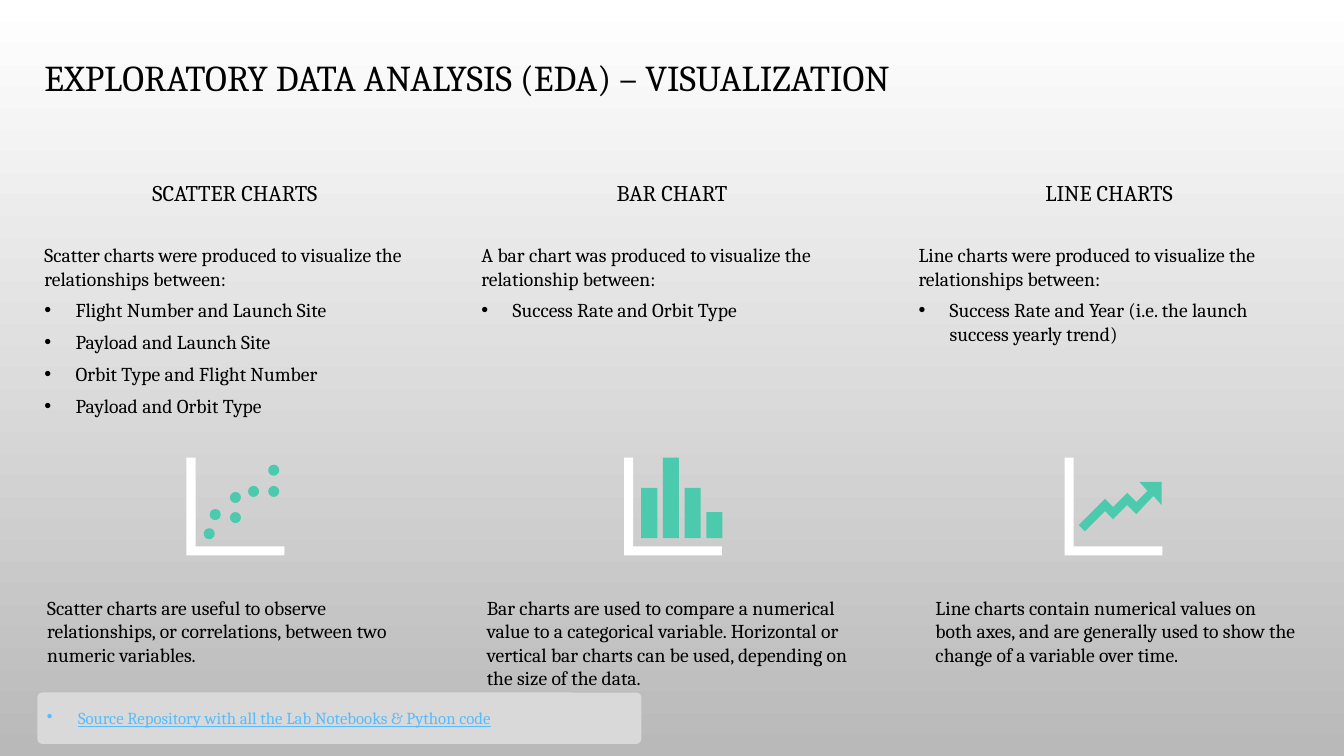
import pptx
import pptx.dml.color
import pptx.enum.shapes
import pptx.enum.text
import pptx.oxml.ns
import pptx.util
from lxml import etree
from pptx.util import Inches

SHAPE = pptx.enum.shapes.MSO_SHAPE
ALIGN = pptx.enum.text.PP_ALIGN
ANCHOR = pptx.enum.text.MSO_ANCHOR
FIT = pptx.enum.text.MSO_AUTO_SIZE

COLORS = {
    "text": "000000", "axis": "FFFFFF", "mark": "4BCAAD", "link": "56BCFE",
    "panel": "D9D9D9", "back_top": "FFFFFF", "back_bottom": "B9B9B9",
}
FONT = "Cambria"
LEFT, PITCH, WIDTH = 0.44, 4.335, 3.78
ICON_TOP, ICON_SIZE, AXIS_WIDTH, BASELINE = 4.54, 0.97, 0.09, 5.34
DOT_SIZE = 0.11

COLUMNS = [
    {
        "heading": "SCATTER CHARTS",
        "intro": "Scatter charts were produced to visualize the relationships between:",
        "items": ["Flight Number and Launch Site", "Payload and Launch Site",
                  "Orbit Type and Flight Number", "Payload and Orbit Type"],
        "caption": "Scatter charts are useful to observe relationships, or correlations, "
                   "between two numeric variables.",
        "caption_box": (0.37, 0.81),
    },
    {
        "heading": "BAR CHART",
        "intro": "A bar chart was produced to visualize the relationship between:",
        "items": ["Success Rate and Orbit Type"],
        "caption": "Bar charts are used to compare a numerical value to a categorical variable. "
                   "Horizontal or vertical bar charts can be used, depending on the size of the data.",
        "caption_box": (4.73, 1.04),
    },
    {
        "heading": "LINE CHARTS",
        "intro": "Line charts were produced to visualize the relationships between:",
        "items": ["Success Rate and Year (i.e. the launch success yearly trend)"],
        "caption": "Line charts contain numerical values on both axes, and are generally used "
                   "to show the change of a variable over time.",
        "caption_box": (9.18, 0.81),
    },
]
DOTS = [(2.02, 5.24), (2.08, 5.05), (2.28, 5.08), (2.28, 4.88),
        (2.46, 4.82), (2.66, 4.82), (2.66, 4.61)]
BAR_HEIGHTS = [0.5, 0.8, 0.5, 0.26]
TREND_ARROW = [
    (11.3, 4.78), (11.38, 4.87), (11.27, 4.98), (11.18, 4.89), (11.04, 5.03),
    (10.96, 4.95), (10.7, 5.21), (10.76, 5.27), (10.96, 5.07), (11.04, 5.15),
    (11.18, 5.01), (11.27, 5.1), (11.44, 4.92), (11.52, 5.01), (11.52, 4.78),
]


def rgb(name):
    return pptx.dml.color.RGBColor.from_string(COLORS[name])


def place(shape, left, top, width, height):
    shape.left, shape.top = Inches(left), Inches(top)
    shape.width, shape.height = Inches(width), Inches(height)


def set_frame(shape, anchor, margins=(0, 0, 0, 0)):
    frame = shape.text_frame
    frame.word_wrap = True
    frame.auto_size = FIT.NONE
    frame.vertical_anchor = anchor
    (frame.margin_left, frame.margin_top,
     frame.margin_right, frame.margin_bottom) = map(Inches, margins)
    return frame


def write(para, text, size, color="text", align=ALIGN.LEFT, after=0, bullet=False):
    para.text = text
    props = para._p.get_or_add_pPr()
    indent = Inches(0.31) if bullet else 0
    props.set("marL", str(indent))
    props.set("indent", str(-indent))
    mark = etree.SubElement(props, pptx.oxml.ns.qn("a:buChar" if bullet else "a:buNone"))
    if bullet:
        mark.set("char", "•")
    para.alignment = align
    para.space_before = pptx.util.Pt(0)
    para.space_after = pptx.util.Pt(after)
    para.font.name = FONT
    para.font.size = pptx.util.Pt(size)
    para.font.bold = False
    para.font.color.rgb = rgb(color)


def paint(shape, color):
    shape.shadow.inherit = False
    shape.fill.solid()
    shape.fill.fore_color.rgb = rgb(color)
    shape.line.fill.background()


def add_block(page, kind, box, color):
    shape = page.shapes.add_shape(kind, *map(Inches, box))
    paint(shape, color)
    return shape


def add_outline(page, points, color):
    corners = [(Inches(x), Inches(y)) for x, y in points]
    builder = page.shapes.build_freeform(*corners[0])
    builder.add_line_segments(corners[1:], close=True)
    paint(builder.convert_to_shape(), color)


def add_axes(page, left):
    right, bottom = left + ICON_SIZE, ICON_TOP + ICON_SIZE
    inner_x, inner_y = left + AXIS_WIDTH, bottom - AXIS_WIDTH
    add_outline(page, [(inner_x, ICON_TOP), (left, ICON_TOP), (left, bottom),
                       (right, bottom), (right, inner_y), (inner_x, inner_y)], "axis")


def add_scatter_icon(page):
    add_axes(page, 1.85)
    for left, top in DOTS:
        add_block(page, SHAPE.OVAL, (left, top, DOT_SIZE, DOT_SIZE), "mark")


def add_bar_icon(page):
    add_axes(page, 6.19)
    for index, height in enumerate(BAR_HEIGHTS):
        box = (6.36 + 0.215 * index, BASELINE - height, 0.16, height)
        add_block(page, SHAPE.RECTANGLE, box, "mark")


def add_line_icon(page):
    add_axes(page, 10.56)
    add_outline(page, TREND_ARROW, "mark")


def add_text(page, box, text, size, anchor, margins=(0, 0, 0, 0), **style):
    shape = page.shapes.add_textbox(*map(Inches, box))
    write(set_frame(shape, anchor, margins).paragraphs[0], text, size, **style)


def fill_list(holder, left, intro, items):
    place(holder, left, 2.41, WIDTH, 4.46)
    frame = set_frame(holder, ANCHOR.TOP)
    write(frame.paragraphs[0], intro, 14, after=6)
    for item in items:
        write(frame.add_paragraph(), item, 14, after=6, bullet=True)


def fill_title(page):
    title = page.shapes.title
    place(title, LEFT, 0.21, 11.97, 0.78)
    para = set_frame(title, ANCHOR.BOTTOM).paragraphs[0]
    write(para, "EXPLORATORY DATA ANALYSIS (EDA) – VISUALIZATION", 26)
    para.line_spacing = 0.9


def add_link_panel(page):
    panel = add_block(page, SHAPE.ROUNDED_RECTANGLE, (0.37, 6.87, 5.99, 0.51), "panel")
    panel.adjustments[0] = 0.097
    para = set_frame(panel, ANCHOR.MIDDLE, (0.08, 0, 0, 0)).paragraphs[0]
    write(para, "Source Repository with all the Lab Notebooks & Python code", 12,
          color="link", bullet=True)
    para.font.underline = True


def set_background(page):
    fill = page.background.fill
    fill.gradient()
    fill.gradient_angle = 270
    for stop, position, name in zip(fill.gradient_stops, (0, 1), ("back_top", "back_bottom")):
        stop.position = position
        stop.color.rgb = rgb(name)


def main():
    deck = pptx.Presentation()
    deck.slide_width, deck.slide_height = Inches(13.33), Inches(7.5)
    page = deck.slides.add_slide(deck.slide_layouts.get_by_name("Comparison"))
    set_background(page)
    fill_title(page)
    *lists, spare = list(page.placeholders)[1:]
    spare.element.getparent().remove(spare.element)
    for index, (column, holder) in enumerate(zip(COLUMNS, lists)):
        left = LEFT + PITCH * index
        add_text(page, (left, 1.45, WIDTH, 0.92), column["heading"], 16,
                 ANCHOR.MIDDLE, align=ALIGN.CENTER, after=6)
        fill_list(holder, left, column["intro"], column["items"])
    add_scatter_icon(page)
    add_bar_icon(page)
    add_line_icon(page)
    for column in COLUMNS:
        left, height = column["caption_box"]
        add_text(page, (left, 5.86, WIDTH, height), column["caption"], 14,
                 ANCHOR.TOP, (0.1, 0.05, 0.1, 0.05))
    add_link_panel(page)
    deck.save("out.pptx")


if __name__ == "__main__":
    main()
